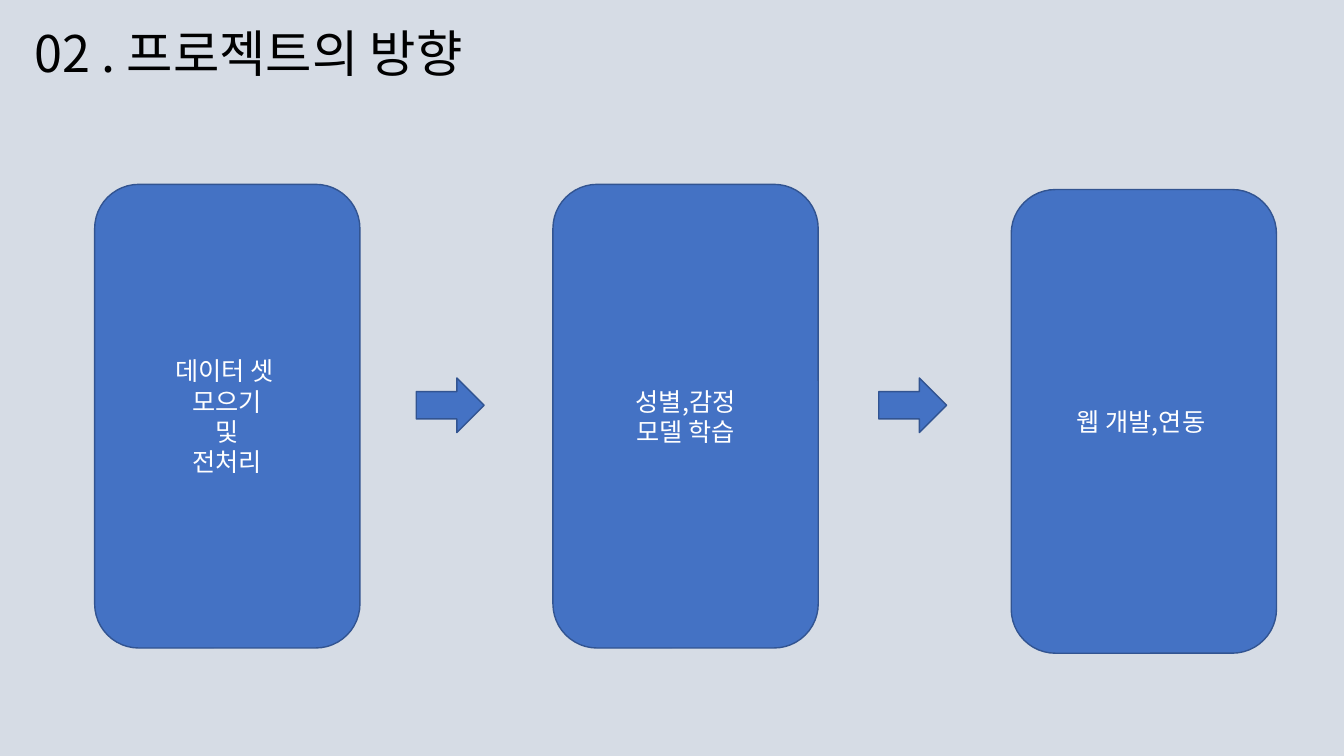
from lxml.etree import SubElement
from pptx import Presentation
from pptx.dml.color import RGBColor
from pptx.enum.shapes import MSO_SHAPE
from pptx.enum.text import MSO_ANCHOR, MSO_AUTO_SIZE, PP_ALIGN
from pptx.oxml.ns import qn
from pptx.util import Pt

FONT = "Noto Sans CJK KR"
BACK = RGBColor(0xD6, 0xDC, 0xE5)
BLUE = RGBColor(0x44, 0x72, 0xC4)
EDGE = RGBColor(0x32, 0x54, 0x91)
BLACK = RGBColor(0, 0, 0)
WHITE = RGBColor(255, 255, 255)

STEPS = [
    ["데이터 셋 ", "모으기", "및", "전처리"],
    ["성별,감정", "모델 학습"],
    ["웹 개발,연동 "],
]
DROPS = [0, 0, 3.7]  # the last card sits slightly lower


def add_run(para, text, size, color):
    run = para.add_run()
    run.text = text
    font = run.font
    font.size = Pt(size)
    font.color.rgb = color
    font.name = FONT
    SubElement(run._r.get_or_add_rPr(), qn("a:ea")).set("typeface", FONT)


def add_title(slide, box, text):
    title = slide.shapes.title
    title.left, title.top, title.width, title.height = map(Pt, box)
    frame = title.text_frame
    frame.word_wrap = True
    frame.auto_size = MSO_AUTO_SIZE.NONE
    frame.vertical_anchor = MSO_ANCHOR.BOTTOM
    para = frame.paragraphs[0]
    para.alignment = PP_ALIGN.LEFT
    para.line_spacing = 0.9
    add_run(para, text, 36, BLACK)


def add_block(slide, kind, box, lines=()):
    block = slide.shapes.add_shape(kind, *map(Pt, box))
    block.shadow.inherit = False
    block.fill.solid()
    block.fill.fore_color.rgb = BLUE
    block.line.color.rgb = EDGE
    block.line.width = Pt(1)
    frame = block.text_frame
    frame.word_wrap = True
    frame.vertical_anchor = MSO_ANCHOR.MIDDLE
    for i, line in enumerate(lines):
        para = frame.add_paragraph() if i else frame.paragraphs[0]
        para.alignment = PP_ALIGN.CENTER
        add_run(para, line, 18, WHITE)


def add_flow(slide, box):
    left, top, width, height = box
    card = 189.5
    pitch = (width - card) / (len(STEPS) - 1)
    # Step cards
    for i, (lines, drop) in enumerate(zip(STEPS, DROPS)):
        add_block(slide, MSO_SHAPE.FLOWCHART_ALTERNATE_PROCESS,
                  (left + i * pitch, top + drop, card, height), lines)
    # Arrows between the cards
    for i in range(len(STEPS) - 1):
        add_block(slide, MSO_SHAPE.RIGHT_ARROW,
                  (left + 229.7 + i * 330.4, top + 138.3, 48.5, 39))


deck = Presentation()
deck.slide_width, deck.slide_height = Pt(960), Pt(540)
slide = deck.slides.add_slide(deck.slide_layouts[5])
slide.background.fill.solid()
slide.background.fill.fore_color.rgb = BACK
add_title(slide, (17.3, 10.8, 942.5, 52.6), "02 . 프로젝트의 방향")
add_flow(slide, (67.6, 131.7, 844.2, 331.2))
deck.save("out.pptx")
